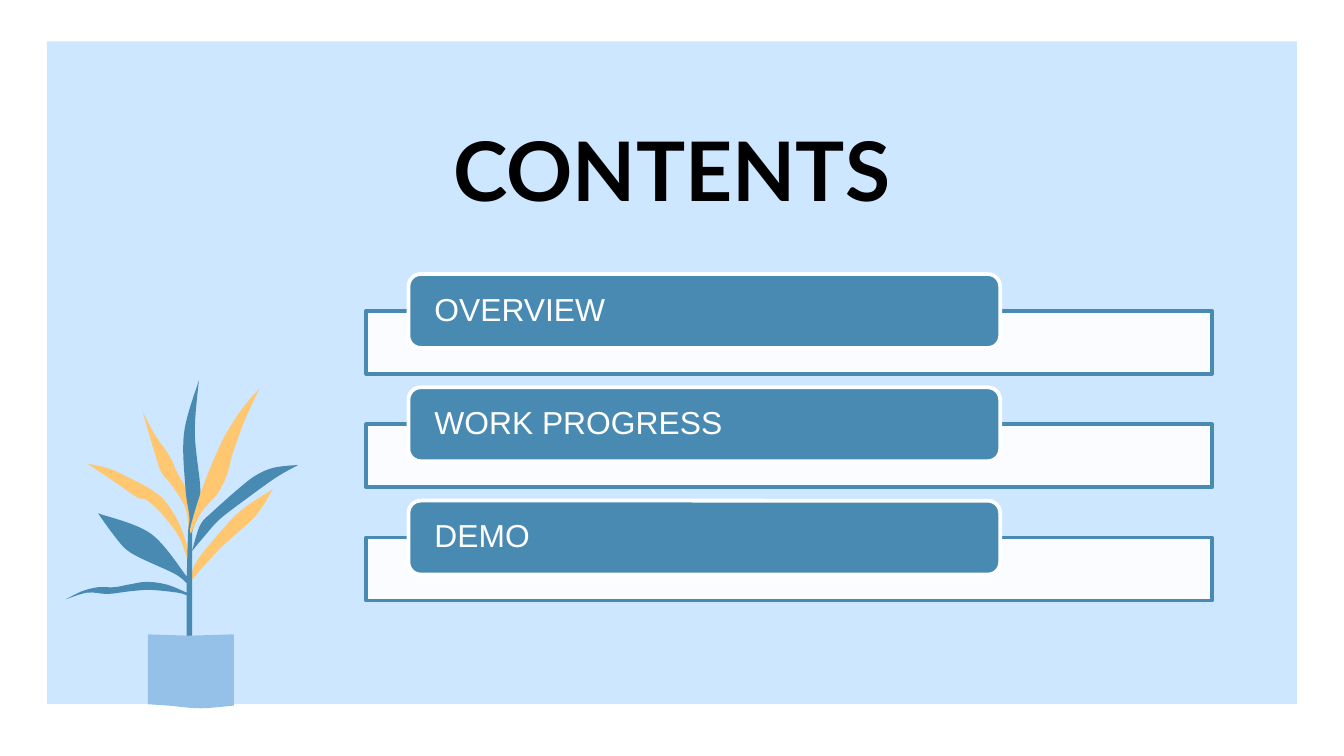
from dataclasses import dataclass

from lxml.etree import SubElement
from pptx import Presentation
from pptx.dml.color import RGBColor
from pptx.enum.shapes import MSO_SHAPE
from pptx.enum.text import MSO_ANCHOR, PP_ALIGN
from pptx.oxml.ns import qn
from pptx.util import Pt


@dataclass(frozen=True)
class Theme:
    """Colours, fonts and type sizes of the slide."""

    panel: str = "CCE7FF"
    blue: str = "498AB3"
    yellow: str = "FFC76F"
    pot: str = "95C1E9"
    white: str = "FFFFFF"
    black: str = "000000"
    title_font: str = "Lato"
    body_font: str = "Arial"
    title_size: int = 44
    topic_size: int = 17


THEME = Theme()
TOPICS = ["OVERVIEW", "WORK PROGRESS", "DEMO"]
TOPIC_PITCH = 60.7
PLANT_UNIT = Pt(0.72)

LOWER_RIGHT_LEAF = [
    [(178, 381), (157, 404), (145, 420), (141, 434), (141, 441)],
    [(141, 434), (164, 408), (190, 384), (203, 364)],
]
LEFT_LEAF = [
    [(83, 357), (102, 370), (109, 372), (121, 383), (134, 401), (141, 422)],
    [(141, 412)],
    [(134, 391), (123, 373), (112, 364), (99, 357), (82, 349), (65, 345)],
]
UPPER_LEFT_LEAF = [
    [(117, 343), (121, 353), (127, 360), (138, 378), (141, 400)],
    [(142, 382), (139, 365), (132, 352), (126, 339), (115, 323), (106, 306)],
]
STEM_AND_LEAVES = [
    [(137, 322), (138, 363), (141, 385), (140, 396), (139, 429)],
    [(112, 397), (73, 382)],
    [(83, 396), (93, 408), (104, 415), (130, 427), (139, 434)],
    [(139, 441)],
    [(124, 435), (109, 433), (96, 435), (85, 437), (73, 437), (61, 440), (49, 446)],
    [(65, 441), (80, 442), (97, 440), (112, 439), (132, 441), (139, 443)],
    [(139, 480)],
    [(143, 480)],
    [(143, 410)],
    [(153, 398), (164, 386), (185, 370), (206, 355), (222, 346)],
    [(204, 348), (190, 354), (176, 365), (158, 381), (150, 389), (146, 399), (143, 410)],
    [(143, 396)],
    [(148, 378), (149, 362), (145, 322), (148, 283)],
]
UPPER_RIGHT_LEAF = [
    [(181, 303), (171, 318), (163, 333), (151, 362), (142, 391), (142, 397)],
    [(150, 381), (162, 367), (169, 353), (173, 338), (182, 313), (193, 289)],
]
POT = [
    [(110, 524)],
    [(125, 525), (149, 527), (174, 525)],
    [(174, 472)],
    [(141, 473)],
    [(110, 472)],
]


def colour(value):
    """Turn a hex string into a colour."""
    return RGBColor.from_string(value)


def paint(shape, fill, line=None):
    """Give a shape its fill, its outline and no shadow."""
    shape.shadow.inherit = False
    shape.fill.solid()
    shape.fill.fore_color.rgb = colour(fill)
    if line is None:
        shape.line.fill.background()
    else:
        shape.line.color.rgb = colour(line)
        shape.line.width = Pt(2)


def add_block(slide, kind, bounds, fill, line=None):
    """Add a painted preset shape with bounds in points."""
    block = slide.shapes.add_shape(kind, *map(Pt, bounds))
    paint(block, fill, line)
    return block


def set_text(box, text, font, size, text_colour, inset, align, bold=False):
    """Write one vertically centred line of text in a box."""
    frame = box.text_frame
    frame.word_wrap = True
    frame.vertical_anchor = MSO_ANCHOR.MIDDLE
    frame.margin_left = frame.margin_right = Pt(inset)
    frame.margin_top = frame.margin_bottom = 0
    para = frame.paragraphs[0]
    para.text = text
    para.alignment = align
    span = para.runs[0]
    span.font.name = font
    span.font.size = Pt(size)
    span.font.bold = bold
    span.font.color.rgb = colour(text_colour)
    return para


def curve_segments(anchors):
    """Return the Bezier points of a smooth curve, one triple a segment."""
    if len(anchors) == 2:
        return [None]
    padded = [anchors[0], *anchors, anchors[-1]]
    return [
        (
            tuple(q + (r - p) / 6 for p, q, r in zip(a, b, c)),
            tuple(r - (s - q) / 6 for q, r, s in zip(b, c, d)),
            c,
        )
        for a, b, c, d in zip(padded, padded[1:], padded[2:], padded[3:])
    ]


def bend(segment, points, origin):
    """Turn a straight path segment into a Bezier segment."""
    segment.tag = qn("a:cubicBezTo")
    segment.remove(segment[0])
    for point in points:
        x, y = (round(p * PLANT_UNIT) - o for p, o in zip(point, origin))
        SubElement(segment, qn("a:pt"), x=str(x), y=str(y))


def add_outline(slide, edges, fill):
    """Add a closed outline whose edges each start where the last ended."""
    corners = [edge[-1] for edge in edges]
    start = corners[-1]
    anchors = [(x * PLANT_UNIT, y * PLANT_UNIT) for edge in edges for x, y in edge]
    builder = slide.shapes.build_freeform(start[0] * PLANT_UNIT, start[1] * PLANT_UNIT)
    builder.add_line_segments(anchors, close=True)
    outline = builder.convert_to_shape()
    paint(outline, fill)
    curves = [
        curve
        for corner, edge in zip([start, *corners], edges)
        for curve in curve_segments([corner, *edge])
    ]
    segments = list(outline._element.iter(qn("a:lnTo")))
    for segment, curve in zip(segments, curves):
        if curve:
            bend(segment, curve, (outline.left, outline.top))


def add_plant(slide):
    """Add the potted plant from back to front."""
    for leaf in (LOWER_RIGHT_LEAF, LEFT_LEAF, UPPER_LEFT_LEAF):
        add_outline(slide, leaf, THEME.yellow)
    add_outline(slide, STEM_AND_LEAVES, THEME.blue)
    add_outline(slide, UPPER_RIGHT_LEAF, THEME.yellow)
    add_outline(slide, POT, THEME.pot)


def add_title(slide, text):
    """Add the slide title."""
    box = slide.shapes.add_textbox(Pt(142), Pt(56), Pt(436), Pt(68.4))
    set_text(box, text, THEME.title_font, THEME.title_size, THEME.black,
             7.2, PP_ALIGN.CENTER, bold=True)


def add_topic(slide, text, top):
    """Add one topic label above its translucent bar."""
    bar = add_block(slide, MSO_SHAPE.RECTANGLE, (196.2, top + 19.8, 453, 33.8),
                    THEME.white, THEME.blue)
    fill_colour = bar.fill._xPr.find(qn("a:solidFill"))[0]
    SubElement(fill_colour, qn("a:alpha"), val="90000")
    label = add_block(slide, MSO_SHAPE.ROUNDED_RECTANGLE, (218.8, top, 317, 39.6),
                      THEME.blue, THEME.white)
    para = set_text(label, text, THEME.body_font, THEME.topic_size, THEME.white,
                    12, PP_ALIGN.LEFT)
    para.line_spacing = 0.9


def main():
    """Build and save the contents slide."""
    deck = Presentation()
    deck.slide_width, deck.slide_height = Pt(720), Pt(405)
    page = deck.slides.add_slide(deck.slide_layouts[6])
    add_block(page, MSO_SHAPE.RECTANGLE, (25.2, 22.2, 669.6, 355), THEME.panel)
    add_title(page, "CONTENTS")
    add_plant(page)
    for index, topic in enumerate(TOPICS):
        add_topic(page, topic, 146.8 + index * TOPIC_PITCH)
    deck.save("out.pptx")


if __name__ == "__main__":
    main()
